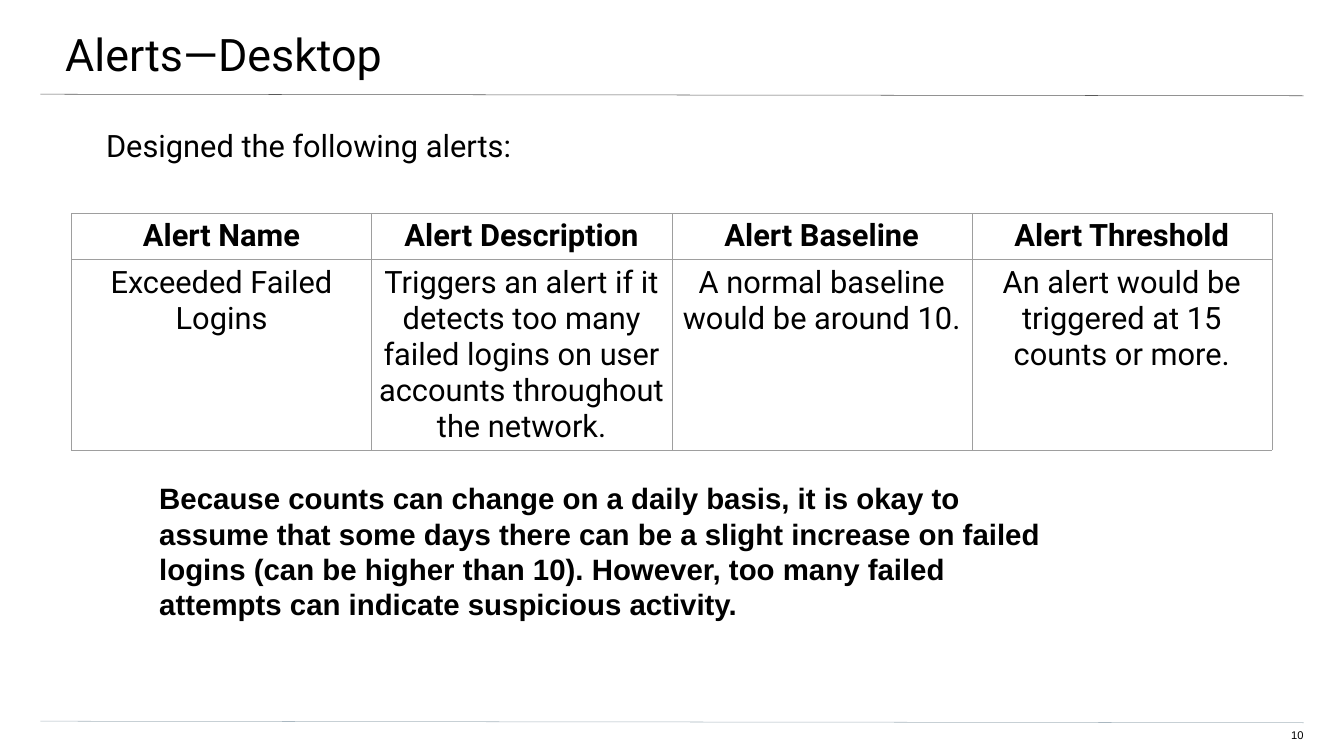
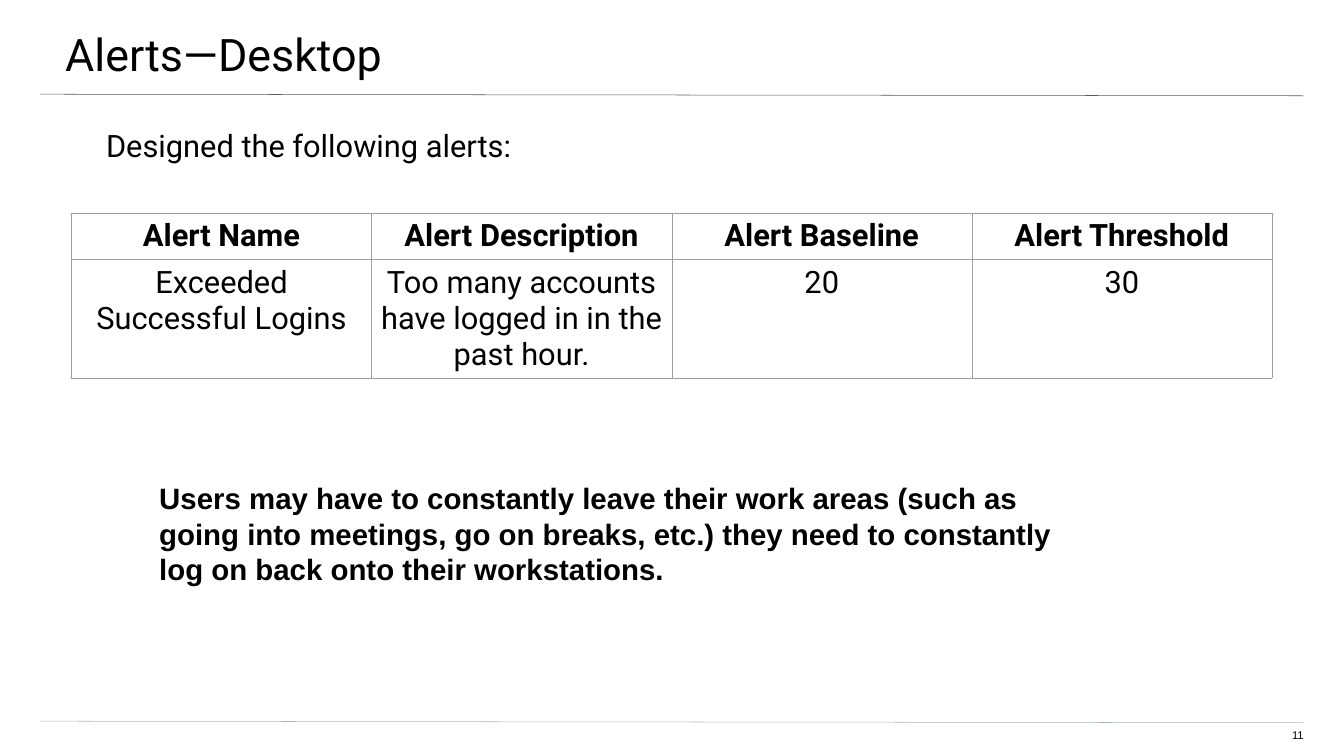
from lxml import etree
from pptx import Presentation
from pptx.dml.color import RGBColor
from pptx.enum import shapes, text
from pptx.oxml import ns
from pptx.util import Pt

BLACK = RGBColor(0x00, 0x00, 0x00)
WHITE = RGBColor(0xFF, 0xFF, 0xFF)
TITLE_RULE = RGBColor(0x59, 0x59, 0x59)
FOOTER_RULE = RGBColor(0xA9, 0xB7, 0xC0)
GRID = RGBColor(0x9E, 0x9E, 0x9E)

TITLE_FONT = {"name": "Roboto", "size": Pt(64), "bold": False}
BODY_FONT = {"name": "Roboto", "size": Pt(44), "bold": False}
HEADER_FONT = {**BODY_FONT, "bold": True}
NOTE_FONT = {"name": "Arial", "size": Pt(42), "bold": True}
NUMBER_FONT = {"name": "Arial", "size": Pt(16), "bold": False}

LEFT, RIGHT = 57.6, 1862
RULES = [(134.6, 136.8, TITLE_RULE), (1030.3, 1032.5, FOOTER_RULE)]
COLUMN_WIDTH = 428.6
ROW_HEIGHTS = [30, 67]
CELL_INSET = 7.2

HEADERS = ["Alert Name", "Alert Description", "Alert Baseline", "Alert Threshold"]
ALERTS = [
    (10,
     ["Exceeded Failed Logins",
      "Triggers an alert if it detects too many failed logins on user accounts "
      "throughout the network.",
      "A normal baseline would be around 10.",
      "An alert would be triggered at 15 counts or more."],
     "Because counts can change on a daily basis, it is okay to assume that some days "
     "there can be a slight increase on failed logins (can be higher than 10). However, "
     "too many failed attempts can indicate suspicious activity.",
     218.2),
    (11,
     ["Exceeded Successful Logins",
      "Too many accounts have logged in in the past hour.",
      "20",
      "30"],
     "Users may have to constantly leave their work areas (such as going into meetings, "
     "go on breaks, etc.) they need to constantly log on back onto their workstations.",
     167),
]


def write(frame, words, font, insets, align=text.PP_ALIGN.LEFT):
    """Fill a text frame with one paragraph; insets run left, top, right, bottom."""
    frame.word_wrap = True
    frame.auto_size = text.MSO_AUTO_SIZE.NONE
    frame.vertical_anchor = text.MSO_ANCHOR.TOP
    for side, inset in zip(("left", "top", "right", "bottom"), insets):
        setattr(frame, f"margin_{side}", Pt(inset))
    paragraph = frame.paragraphs[0]
    paragraph.text = words
    paragraph.alignment = align
    paragraph.space_before = Pt(0)
    properties = paragraph._p.get_or_add_pPr()
    properties.set("marL", "0")
    properties.set("indent", "0")
    etree.SubElement(properties, ns.qn("a:buNone"))
    for attribute, value in font.items():
        setattr(paragraph.runs[0].font, attribute, value)
    paragraph.runs[0].font.color.rgb = BLACK


def place(shape, left, top, width, height):
    shape.left, shape.top, shape.width, shape.height = map(Pt, (left, top, width, height))


deck = Presentation()
deck.slide_width, deck.slide_height = Pt(1919.52), Pt(1080)
background = deck.slide_master.background.fill
background.solid()
background.fore_color.rgb = WHITE

for number, alert, note, note_height in ALERTS:
    slide = deck.slides.add_slide(deck.slide_layouts[1])

    for start, end, color in RULES:
        rule = slide.shapes.add_connector(
            shapes.MSO_CONNECTOR.STRAIGHT, Pt(LEFT), Pt(start), Pt(RIGHT), Pt(end))
        rule.line.color.rgb = color
        rule.line.width = Pt(0.75)
        etree.SubElement(rule._element.spPr, ns.qn("a:effectLst"))

    title, intro = slide.placeholders
    place(title, -2.9, 0, 1924.6, 112.3)
    write(title.text_frame, "Alerts—Desktop", TITLE_FONT, (96, 38.4, 57.6, 19.2))
    place(intro, 55.4, 180.7, 1806.5, 776.9)
    write(intro.text_frame, "Designed the following alerts:", BODY_FONT, (96, 0, 96, 192))

    page = slide.shapes.add_textbox(Pt(1807.2), Pt(1041.1), Pt(54.7), Pt(22.3))
    write(page.text_frame, str(number), NUMBER_FONT, (0, 0, 0, 19.2), text.PP_ALIGN.RIGHT)

    table = slide.shapes.add_table(
        2, len(HEADERS), Pt(102.2), Pt(304.6),
        Pt(COLUMN_WIDTH * len(HEADERS)), Pt(sum(ROW_HEIGHTS))).table
    table.first_row = table.horz_banding = False
    for column in table.columns:
        column.width = Pt(COLUMN_WIDTH)
    for row, height, entries, font in zip(
            table.rows, ROW_HEIGHTS, (HEADERS, alert), (HEADER_FONT, BODY_FONT)):
        row.height = Pt(height)
        for cell, entry in zip(row.cells, entries):
            # A cell's frame has no margins or anchor of its own, so the cell carries them.
            for side in ("left", "top", "right", "bottom"):
                setattr(cell, f"margin_{side}", Pt(CELL_INSET))
            paragraph = cell.text_frame.paragraphs[0]
            paragraph.text = entry
            paragraph.alignment = text.PP_ALIGN.CENTER
            for attribute, value in font.items():
                setattr(paragraph.runs[0].font, attribute, value)
            paragraph.runs[0].font.color.rgb = BLACK
            cell.fill.background()
            properties = cell._tc.get_or_add_tcPr()
            for position, edge in enumerate(("lnL", "lnR", "lnT", "lnB")):
                border = etree.Element(ns.qn(f"a:{edge}"), w=str(Pt(0.75)))
                fill = etree.SubElement(border, ns.qn("a:solidFill"))
                etree.SubElement(fill, ns.qn("a:srgbClr"), val=str(GRID))
                properties.insert(position, border)

    remark = slide.shapes.add_textbox(Pt(220.3), Pt(679), Pt(1304.6), Pt(note_height))
    write(remark.text_frame, note, NOTE_FONT, [CELL_INSET] * 4)
    remark.text_frame.auto_size = text.MSO_AUTO_SIZE.SHAPE_TO_FIT_TEXT

deck.save("out.pptx")
